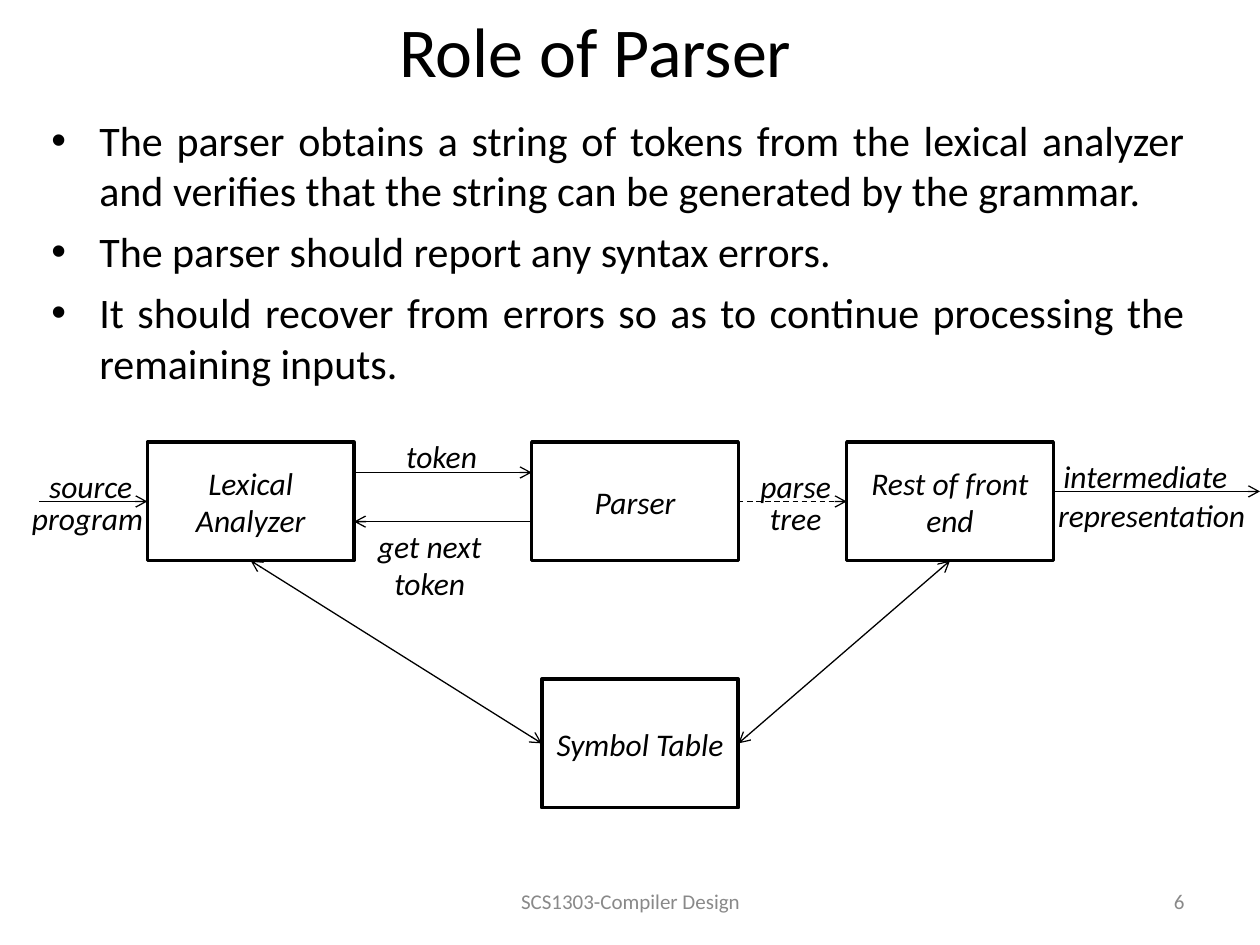
from typing import NamedTuple, Optional

from lxml.etree import SubElement
from pptx import Presentation
from pptx.dml.color import RGBColor
from pptx.enum.dml import MSO_LINE
from pptx.enum.shapes import MSO_CONNECTOR, MSO_SHAPE
from pptx.enum.text import MSO_ANCHOR, PP_ALIGN
from pptx.oxml.ns import qn
from pptx.util import Inches, Pt

BLACK = RGBColor(0x00, 0x00, 0x00)
WHITE = RGBColor(0xFF, 0xFF, 0xFF)
GRAY = RGBColor(0x89, 0x89, 0x89)

TITLE_FONT = {"name": "Calibri", "size": Pt(40)}
BODY_FONT = {"name": "Calibri", "size": Pt(24)}
FOOTER_FONT = {"name": "Calibri", "size": Pt(12)}
DIAGRAM_FONT = {"name": "Calibri", "size": Pt(18), "italic": True}

BOX_TOP, BOX_WIDTH, BOX_HEIGHT = 3.51, 1.64, 0.94
TOP, LEFT, BOTTOM, RIGHT = range(4)


class Text(NamedTuple):
    text: str
    left: float
    top: float
    width: float
    height: float = 0.4


class Box(NamedTuple):
    text: str
    left: float
    top: float = BOX_TOP
    width: float = BOX_WIDTH
    height: float = BOX_HEIGHT


class Arrow(NamedTuple):
    start: tuple[float, float]
    end: tuple[float, float]
    begin: Optional[tuple[str, int]] = None
    finish: Optional[tuple[str, int]] = None
    dashed: bool = False
    both: bool = False


BULLETS = [
    "The parser obtains a string of tokens from the lexical analyzer "
    "and verifies that the string can be generated by the grammar.",
    "The parser should report any syntax errors.",
    "It should recover from errors so as to continue processing the remaining inputs.",
]

BOXES = [
    Box("Lexical Analyzer", 1.17),
    Box("Parser", 4.22),
    Box("Rest of front end", 6.72),
    Box("Symbol Table", 4.3, 5.39, 1.56, 1.02),
]

LABELS = [
    Text("source", 0.21, 3.66, 1.02),
    Text("program", 0.11, 3.91, 1.17),
    Text("token", 2.92, 3.42, 1.17),
    Text("get next token", 2.67, 4.13, 1.48, 0.7),
    Text("parse", 5.73, 3.66, 1.17),
    Text("tree", 5.73, 3.91, 1.17),
    Text("intermediate", 8.31, 3.58, 1.56),
    Text("representation", 8.28, 3.89, 1.72),
]

ARROWS = [
    Arrow((0.31, 3.98), (1.17, 3.98), finish=("Lexical Analyzer", LEFT)),
    Arrow((2.81, 3.75), (4.22, 3.75)),
    Arrow((4.22, 4.14), (2.81, 4.14)),
    Arrow((5.86, 3.98), (6.72, 3.98), ("Parser", RIGHT),
          ("Rest of front end", LEFT), dashed=True),
    Arrow((8.36, 3.9), (10, 3.9)),
    Arrow((1.99, 4.45), (4.3, 5.9), ("Lexical Analyzer", BOTTOM),
          ("Symbol Table", LEFT), both=True),
    Arrow((5.86, 5.9), (7.54, 4.45), ("Symbol Table", RIGHT),
          ("Rest of front end", BOTTOM), both=True),
]


def write(p, text: str, font: dict, color: RGBColor, align) -> None:
    p.alignment = align
    r = p.add_run()
    r.text = text
    for name, value in font.items():
        setattr(r.font, name, value)
    r.font.color.rgb = color


def add_text(s, item: Text, font: dict, color: RGBColor = BLACK,
             align=PP_ALIGN.CENTER, anchor=MSO_ANCHOR.TOP) -> None:
    tf = s.shapes.add_textbox(*map(Inches, item[1:])).text_frame
    tf.word_wrap = True
    tf.vertical_anchor = anchor
    write(tf.paragraphs[0], item.text, font, color, align)


def add_bullets(s, bullets: list[str]) -> None:
    tf = s.shapes.add_textbox(*map(Inches, (0.31, 0.86, 9.19, 2.4))).text_frame
    tf.word_wrap = True
    for i, text in enumerate(bullets):
        p = tf.add_paragraph() if i else tf.paragraphs[0]
        if i:
            p.space_before = Pt(6)
        pPr = p._p.get_or_add_pPr()
        pPr.set("marL", str(Inches(0.38)))
        pPr.set("indent", str(Inches(-0.38)))
        SubElement(pPr, qn("a:buFont"), typeface="Arial")
        SubElement(pPr, qn("a:buChar"), char="•")
        write(p, text, BODY_FONT, BLACK, PP_ALIGN.JUSTIFY)


def add_box(s, box: Box):
    sp = s.shapes.add_shape(MSO_SHAPE.RECTANGLE, *map(Inches, box[1:]))
    sp.shadow.inherit = False
    sp.fill.solid()
    sp.fill.fore_color.rgb = WHITE
    sp.line.color.rgb = BLACK
    sp.line.width = Pt(2)
    tf = sp.text_frame
    tf.word_wrap = True
    tf.vertical_anchor = MSO_ANCHOR.MIDDLE
    write(tf.paragraphs[0], box.text, DIAGRAM_FONT, BLACK, PP_ALIGN.CENTER)
    return sp


def add_arrow(s, arrow: Arrow, boxes: dict) -> None:
    c = s.shapes.add_connector(MSO_CONNECTOR.STRAIGHT,
                               *map(Inches, arrow.start + arrow.end))
    if arrow.begin:
        name, side = arrow.begin
        c.begin_connect(boxes[name], side)
    if arrow.finish:
        name, side = arrow.finish
        c.end_connect(boxes[name], side)
    c.line.color.rgb = BLACK
    c.line.width = Pt(0.75)
    if arrow.dashed:
        c.line.dash_style = MSO_LINE.DASH
    ln = c.line._get_or_add_ln()
    if arrow.both:
        SubElement(ln, qn("a:headEnd"), type="arrow")
    SubElement(ln, qn("a:tailEnd"), type="arrow")
    SubElement(c._element.spPr, qn("a:effectLst"))


def main() -> None:
    prs = Presentation()
    prs.slide_width, prs.slide_height = Inches(10), Inches(7.5)
    s = prs.slides.add_slide(prs.slide_layouts[6])
    add_text(s, Text("Role of Parser", 1.09, 0, 7.27, 0.78), TITLE_FONT,
             anchor=MSO_ANCHOR.MIDDLE)
    add_bullets(s, BULLETS)
    boxes = {box.text: add_box(s, box) for box in BOXES}
    for arrow in ARROWS:
        add_arrow(s, arrow, boxes)
    for label in LABELS:
        add_text(s, label, DIAGRAM_FONT)
    add_text(s, Text("SCS1303-Compiler Design", 3.42, 6.95, 3.17), FOOTER_FONT,
             GRAY, anchor=MSO_ANCHOR.MIDDLE)
    add_text(s, Text("6", 7.17, 6.95, 2.33), FOOTER_FONT, GRAY,
             PP_ALIGN.RIGHT, MSO_ANCHOR.MIDDLE)
    prs.save("out.pptx")


if __name__ == "__main__":
    main()
